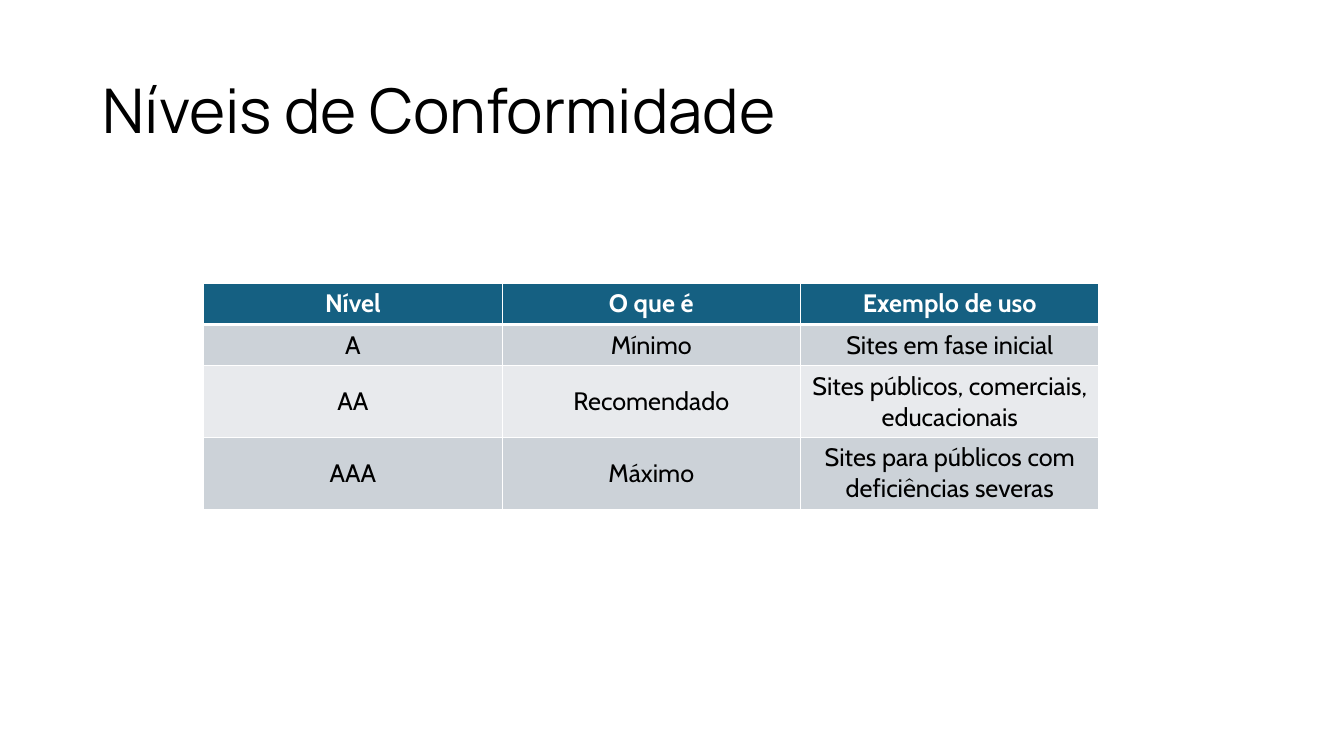
from lxml import etree
from pptx import Presentation
from pptx.dml.color import RGBColor
from pptx.enum import text
from pptx.oxml import ns
from pptx.util import Inches, Pt

BLACK = RGBColor(0, 0, 0)
WHITE = RGBColor(255, 255, 255)
TEAL = RGBColor(0x15, 0x60, 0x82)
GREY = RGBColor(0xCC, 0xD2, 0xD8)
PALE = RGBColor(0xE8, 0xEA, 0xED)

ROWS = [
    ("Nível", "O que é", "Exemplo de uso"),
    ("A", "Mínimo", "Sites em fase inicial"),
    ("AA", "Recomendado", "Sites públicos, comerciais, educacionais"),
    ("AAA", "Máximo", "Sites para públicos com deficiências severas"),
]
HEIGHTS = (0.41, 0.41, 0.71, 0.71)


def set_font(para, name, size, color, bold=False):
    """Format all the text of a paragraph."""
    font = para.font
    font.name, font.size, font.bold = name, Pt(size), bold
    font.color.rgb = color


def add_title(slide, words):
    """Place and format the slide title."""
    title = slide.shapes.title
    title.left, title.top = Inches(0.92), Inches(0.4)
    title.width, title.height = Inches(11.5), Inches(1.45)
    frame = title.text_frame
    frame.text = words
    frame.vertical_anchor = text.MSO_ANCHOR.MIDDLE
    para = frame.paragraphs[0]
    para.alignment = text.PP_ALIGN.LEFT
    para.line_spacing = 0.9
    set_font(para, "Manrope", 44, BLACK)


def add_edge(cell, side, width):
    """Draw one white border of a cell."""
    props = cell._tc.get_or_add_tcPr()
    line = etree.SubElement(props, ns.qn("a:ln" + side), w=str(Pt(width)))
    fill = etree.SubElement(line, ns.qn("a:solidFill"))
    etree.SubElement(fill, ns.qn("a:srgbClr"), val=str(WHITE))


def style_cell(cell, words, row):
    """Fill in a cell and style it by its row."""
    head = row == 0
    cell.text = words
    cell.vertical_anchor = text.MSO_ANCHOR.MIDDLE
    para = cell.text_frame.paragraphs[0]
    para.alignment = text.PP_ALIGN.CENTER
    set_font(para, "Cabin", 18, WHITE if head else BLACK, head)
    widths = {"L": 1, "R": 1, "T": 3 if row == 1 else 1, "B": 3 if head else 1}
    for side, width in widths.items():
        add_edge(cell, side, width)
    cell.fill.solid()
    cell.fill.fore_color.rgb = TEAL if head else GREY if row % 2 else PALE


def add_levels(slide):
    """Add the table of levels."""
    cols = len(ROWS[0])
    frame = slide.shapes.add_table(
        len(ROWS), cols, Inches(2.02), Inches(2.81),
        Inches(2.96 * cols), Inches(sum(HEIGHTS)))
    table = frame.table
    for col in table.columns:
        col.width = Inches(2.96)
    for row, (words, height) in enumerate(zip(ROWS, HEIGHTS)):
        table.rows[row].height = Inches(height)
        for col, word in enumerate(words):
            style_cell(table.cell(row, col), word, row)


def main():
    """Build the slide and save it."""
    deck = Presentation()
    deck.slide_width, deck.slide_height = Inches(13.33), Inches(7.5)
    slide = deck.slides.add_slide(deck.slide_layouts[5])
    add_title(slide, "Níveis de Conformidade")
    add_levels(slide)
    deck.save("out.pptx")


if __name__ == "__main__":
    main()
